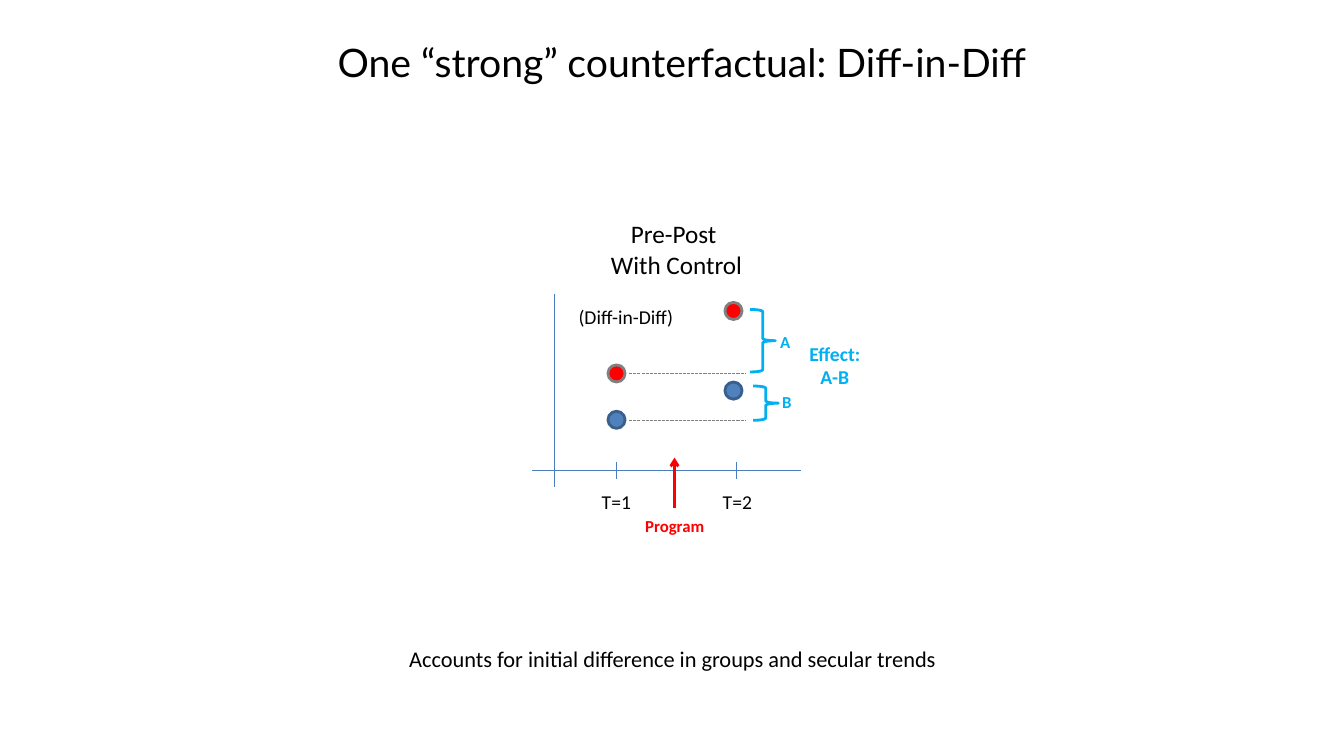
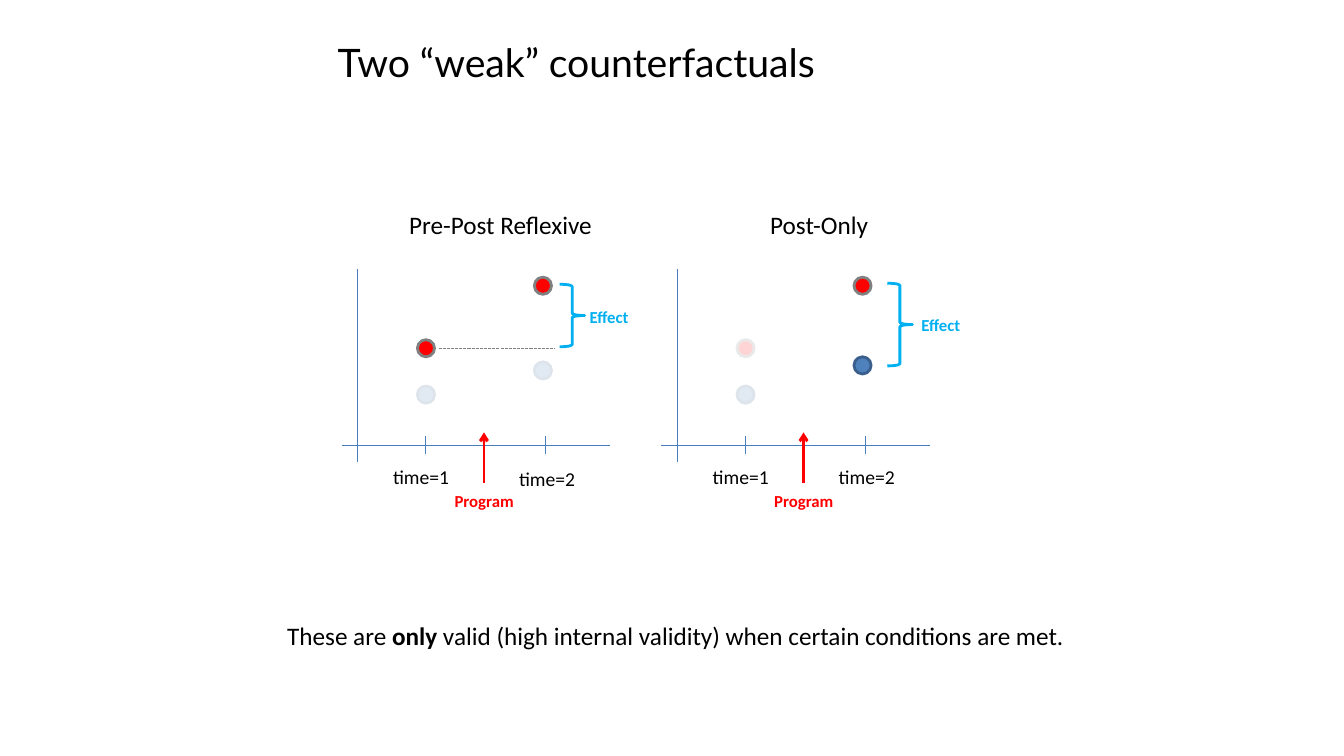
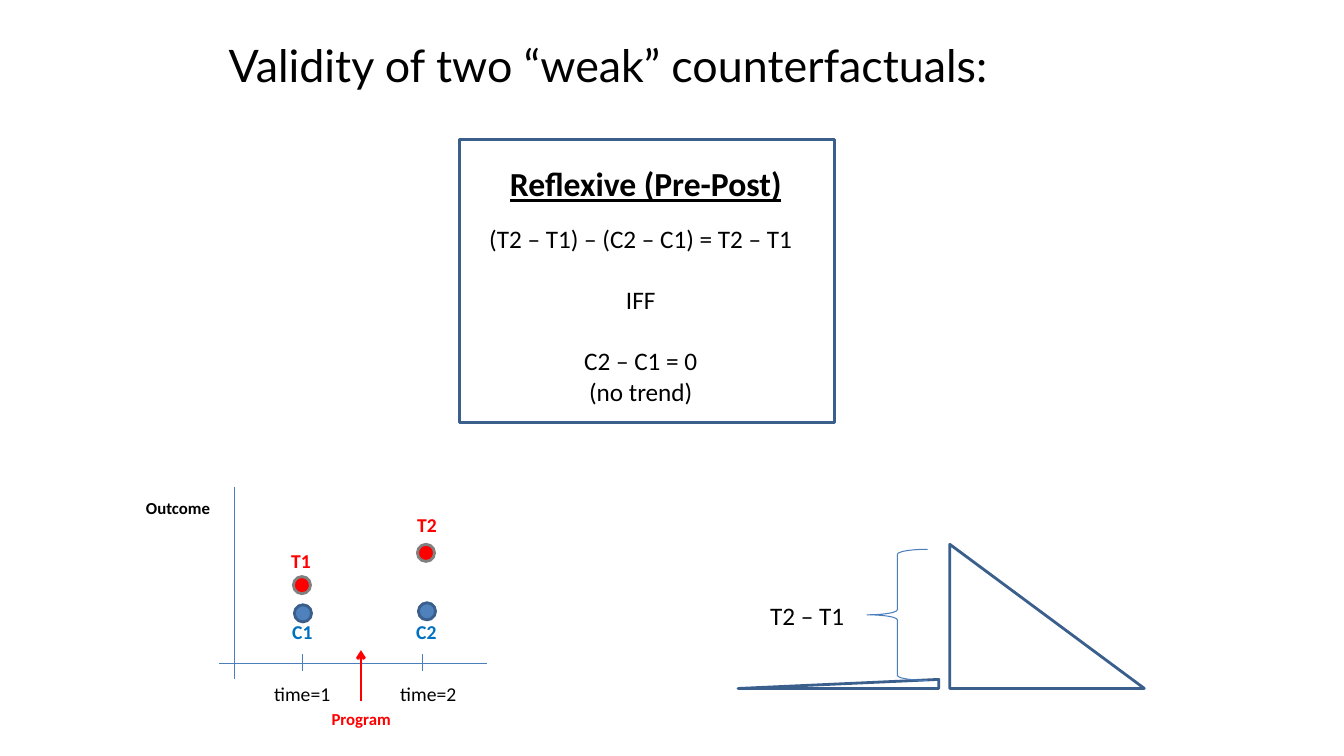
from lxml import etree
from pptx import Presentation
from pptx.dml.color import RGBColor
from pptx.enum.dml import MSO_LINE
from pptx.enum.shapes import MSO_CONNECTOR, MSO_SHAPE
from pptx.enum.text import MSO_AUTO_SIZE, PP_ALIGN
from pptx.oxml.ns import qn
from pptx.util import Emu, Pt

EMU_PER_PX = 9144  # 100 px to the inch
STRAIGHT = MSO_CONNECTOR.STRAIGHT
OVAL = MSO_SHAPE.OVAL
RECTANGLE = MSO_SHAPE.RECTANGLE
RIGHT_TRIANGLE = MSO_SHAPE.RIGHT_TRIANGLE
LEFT_BRACE = MSO_SHAPE.LEFT_BRACE
RIGHT_BRACE = MSO_SHAPE.RIGHT_BRACE
DASH = MSO_LINE.SQUARE_DOT
LEFT, CENTER = PP_ALIGN.LEFT, PP_ALIGN.CENTER
FIT_SHAPE = MSO_AUTO_SIZE.SHAPE_TO_FIT_TEXT

COLORS = {
    "text": "000000",
    "white": "FFFFFF",
    "axis": "4B7EBC",
    "control": "4F81BD",
    "outline": "3A5F8C",
    "control_label": "0070C0",
    "treated": "FF0000",
    "gray": "808080",
    "effect": "00B0F0",
}
TITLE_FONT, BODY_FONT = "Lato", "Calibri"
THIN, THICK = 0.75, 2
DOT = 17
TREATED = ((75, 70), (191, 8))


def px(value):
    return Emu(value * EMU_PER_PX)


def rgb(name):
    return RGBColor.from_string(COLORS[name])


def shift(origin, box):
    """Move a box or point given relative to origin onto the page."""
    return (origin[0] + box[0], origin[1] + box[1], *box[2:])


def add_text(page, box, lines, size, color="text", bold=False, align=LEFT,
             font=BODY_FONT, wrap=False, underline=False, spacing=()):
    """Each line is a string or a list of (text, bold) spans; spacing is points before each line."""
    frame = page.shapes.add_textbox(*map(px, box)).text_frame
    frame.word_wrap = wrap
    frame.auto_size = FIT_SHAPE
    for index, line in enumerate(lines):
        para = frame.paragraphs[0] if index == 0 else frame.add_paragraph()
        para.alignment = align
        if index and spacing:
            para.space_before = Pt(spacing[index])
        spans = [(line, bold)] if isinstance(line, str) else line
        for text, span_bold in spans:
            span = para.add_run()
            span.text = text
            span.font.name = font
            span.font.size = Pt(size)
            span.font.bold = span_bold
            span.font.underline = underline
            span.font.color.rgb = rgb(color)


def add_line(page, start, end, color="axis", width=THIN, dash=None, arrow=False):
    line = page.shapes.add_connector(STRAIGHT, *map(px, (*start, *end)))
    line.line.color.rgb = rgb(color)
    line.line.width = Pt(width)
    if dash:
        line.line.dash_style = dash
    properties = line._element.spPr
    if arrow:
        outline = properties.find(qn("a:ln"))
        etree.SubElement(outline, qn("a:tailEnd"), type="arrow")
    etree.SubElement(properties, qn("a:effectLst"))


def add_shape(page, kind, box, fill=None, line=None, width=THICK):
    shape = page.shapes.add_shape(kind, *map(px, box))
    shape.shadow.inherit = False
    if fill:
        shape.fill.solid()
        shape.fill.fore_color.rgb = rgb(fill)
    else:
        shape.fill.background()
    if line:
        shape.line.color.rgb = rgb(line)
        shape.line.width = Pt(width)
    else:
        shape.line.fill.background()
    return shape


def add_veil(page, box):
    """Fade what lies under the box with a translucent white cover."""
    veil = add_shape(page, RECTANGLE, box, fill="white")
    color = veil._element.spPr.find(qn("a:solidFill"))[0]
    etree.SubElement(color, qn("a:alpha"), val="83000")


def add_title(page, text, box=(325, 33, 783, 57), size=28):
    add_text(page, box, [text], size, font=TITLE_FONT, wrap=True)


def add_plot(page, origin, time_labels, treated, control, axis_x=16):
    """Axes, ticks, program arrow and dots; origin is the left end of the time axis, top of the other."""
    def line(start, end, **style):
        add_line(page, shift(origin, start), shift(origin, end), **style)

    line((axis_x, 0), (axis_x, 191))
    line((0, 175), (266, 175))
    for group, fill, outline in ((control, "control", "outline"),
                                 (treated, "treated", "gray")):
        for dot in group:
            add_shape(page, OVAL, shift(origin, (*dot, DOT, DOT)), fill, outline)
    for tick_x, (text, box) in zip((83, 202), time_labels):
        line((tick_x, 166), (tick_x, 183))
        add_text(page, shift(origin, box), [text], 14)
    line((141, 212), (141, 162), color="treated", width=THICK, arrow=True)
    add_text(page, shift(origin, (102, 215, 80, 30)), ["Program"], 12, "treated", True)


def add_baseline(page, origin, y):
    add_line(page, shift(origin, (96, y)), shift(origin, (211, y)), "gray", dash=DASH)


def add_effect(page, origin, brace, label, label_box):
    add_shape(page, RIGHT_BRACE, shift(origin, brace), line="effect")
    add_text(page, shift(origin, label_box), [label], 12, "effect", True)


def time_labels(left, second_y=189, width=77):
    return (("time=1", (left, 189, width, 34)),
            ("time=2", (left + 125, second_y, width, 34)))


def build_strong(page):
    add_title(page, "One “strong” counterfactual: Diff-in-Diff")
    add_text(page, (595, 212, 152, 71), ["Pre-Post ", "With Control"], 18, align=CENTER)
    origin = (528, 292)
    labels = (("T=1", (59, 189, 50, 34)), ("T=2", (179, 189, 50, 34)))
    add_plot(page, origin, labels, TREATED, ((75, 116), (191, 87)), axis_x=22)
    for y in (79, 125):
        add_baseline(page, origin, y)
    add_effect(page, origin, (216, 15, 25, 62), "A", (236, 32, 30, 30))
    add_effect(page, origin, (219, 91, 25, 34), "B", (238, 92, 30, 30))
    add_text(page, shift(origin, (264, 42, 72, 57)), ["Effect:", "A-B"], 14,
             "effect", True, CENTER)
    add_text(page, shift(origin, (36, 6, 116, 34)), ["(Diff-in-Diff)"], 14)
    add_text(page, (396, 635, 549, 37),
             ["Accounts for initial difference in groups and secular trends"], 16)


def build_weak(page):
    add_title(page, "Two “weak” counterfactuals")
    reflexive, post_only = (339, 267), (656, 267)
    add_plot(page, reflexive, time_labels(41, 191), TREATED, ((75, 116), (191, 92)))
    add_plot(page, post_only, time_labels(41), TREATED, ((75, 116), (191, 87)))
    add_text(page, shift(reflexive, (57, -64, 203, 40)), ["Pre-Post Reflexive"], 18)
    add_baseline(page, reflexive, 79)
    add_effect(page, reflexive, (216, 15, 25, 62), "Effect", (236, 32, 59, 30))
    add_text(page, shift(post_only, (98, -64, 119, 40)), ["Post-Only"], 18)
    add_effect(page, post_only, (224, 14, 25, 82), "Effect", (248, 40, 59, 30))
    add_veil(page, shift(reflexive, (59, 90, 188, 67)))
    add_veil(page, shift(post_only, (59, 58, 50, 87)))
    add_text(page, (275, 611, 794, 40), [[
        ("These are ", False), ("only", True),
        (" valid (high internal validity) when certain conditions are met.", False),
    ]], 18)


def add_condition(page, origin):
    """Framed condition under which the reflexive comparison holds."""
    add_text(page, shift(origin, (17, 79, 325, 192)),
             ["(T2 – T1) – (C2 – C1) = T2 – T1", "IFF", "C2 – C1 = 0", "(no trend)"],
             18, align=CENTER, spacing=(0, 22, 22, 0))
    add_text(page, shift(origin, (40, 19, 293, 50)), ["Reflexive (Pre-Post)"], 24,
             bold=True, underline=True)
    add_shape(page, RECTANGLE, shift(origin, (0, 0, 372, 281)), line="outline")


def add_slopes(page, origin):
    """Control and treated trends as triangles, with their difference braced."""
    add_shape(page, RIGHT_TRIANGLE, shift(origin, (210, 0, 193, 143)), line="outline")
    flat = add_shape(page, RIGHT_TRIANGLE, shift(origin, (0, 134, 199, 9)), line="outline")
    flat._element.spPr.find(qn("a:xfrm")).set("flipH", "1")
    add_shape(page, LEFT_BRACE, shift(origin, (128, 5, 60, 130)), line="axis", width=THIN)
    add_text(page, shift(origin, (21, 51, 95, 40)), ["T2 – T1"], 18, align=CENTER)


def build_validity(page):
    add_title(page, "Validity of two “weak” counterfactuals:", (217, 33, 903, 64), 32)
    add_condition(page, (456, 138))
    origin = (217, 483)
    add_plot(page, origin, time_labels(45, width=79),
             ((74, 89), (197, 57)), ((75, 117), (198, 115)))
    add_text(page, shift(origin, (-82, 6, 84, 30)), ["Outcome"], 12, bold=True)
    for text, x, y, color in (("T2", 187, 21, "treated"), ("T1", 62, 57, "treated"),
                              ("C1", 63, 127, "control_label"),
                              ("C2", 186, 127, "control_label")):
        add_text(page, shift(origin, (x, y, 40, 34)), [text], 14, color, True)
    add_slopes(page, (732, 540))


def main():
    deck = Presentation()
    deck.slide_width, deck.slide_height = px(1333), px(750)
    blank = deck.slide_layouts[6]
    for build in (build_strong, build_weak, build_validity):
        build(deck.slides.add_slide(blank))
    deck.save("out.pptx")


if __name__ == "__main__":
    main()
